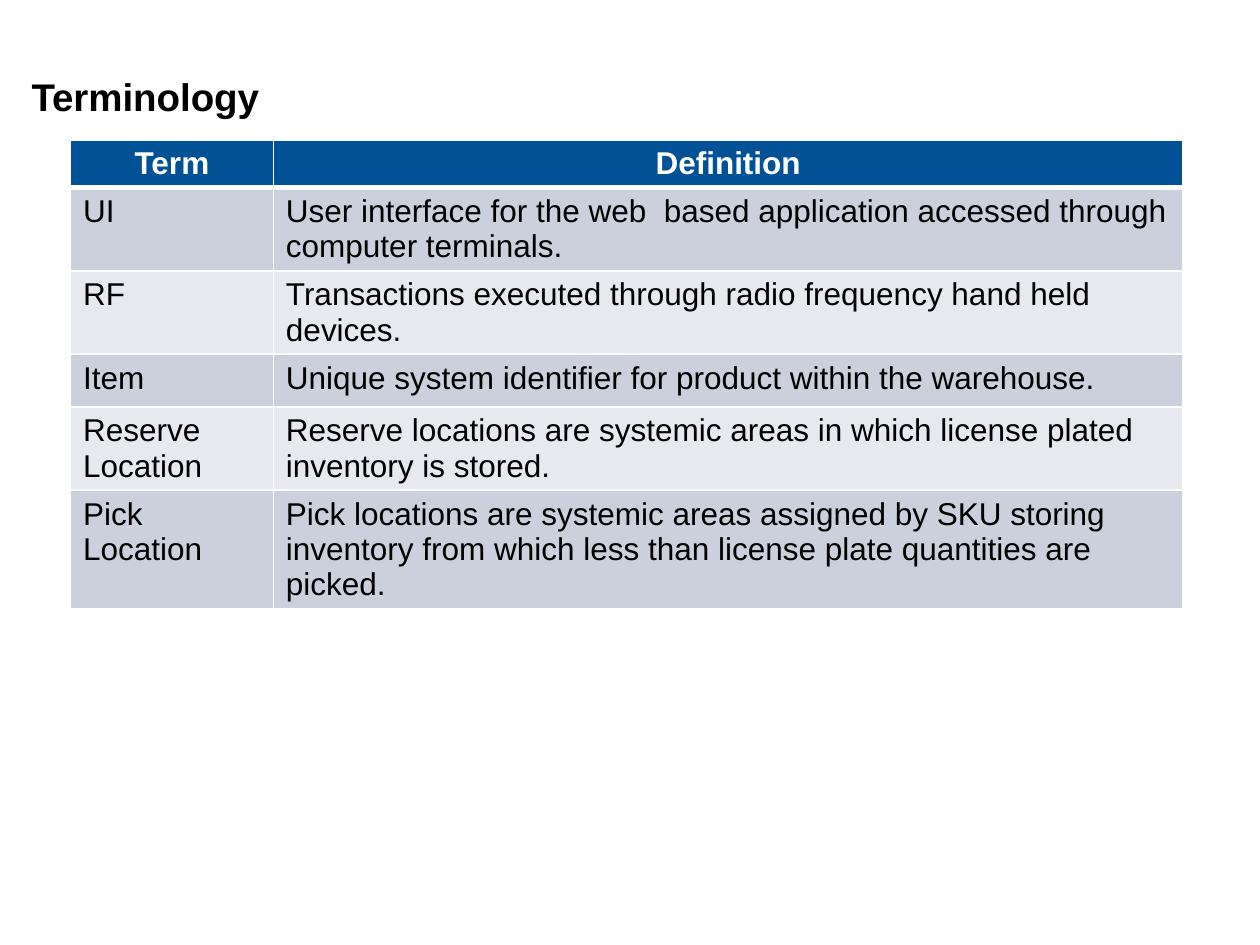
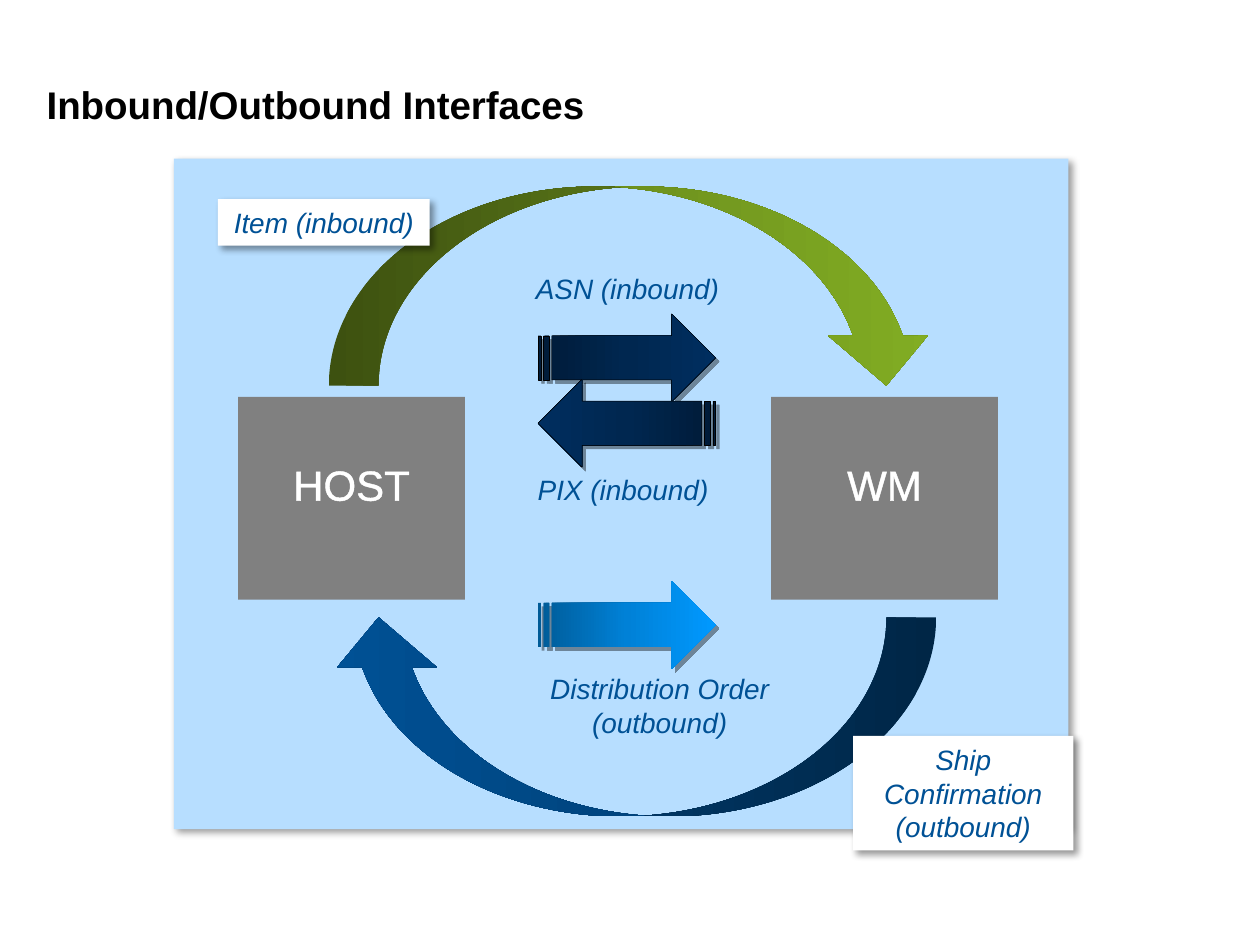
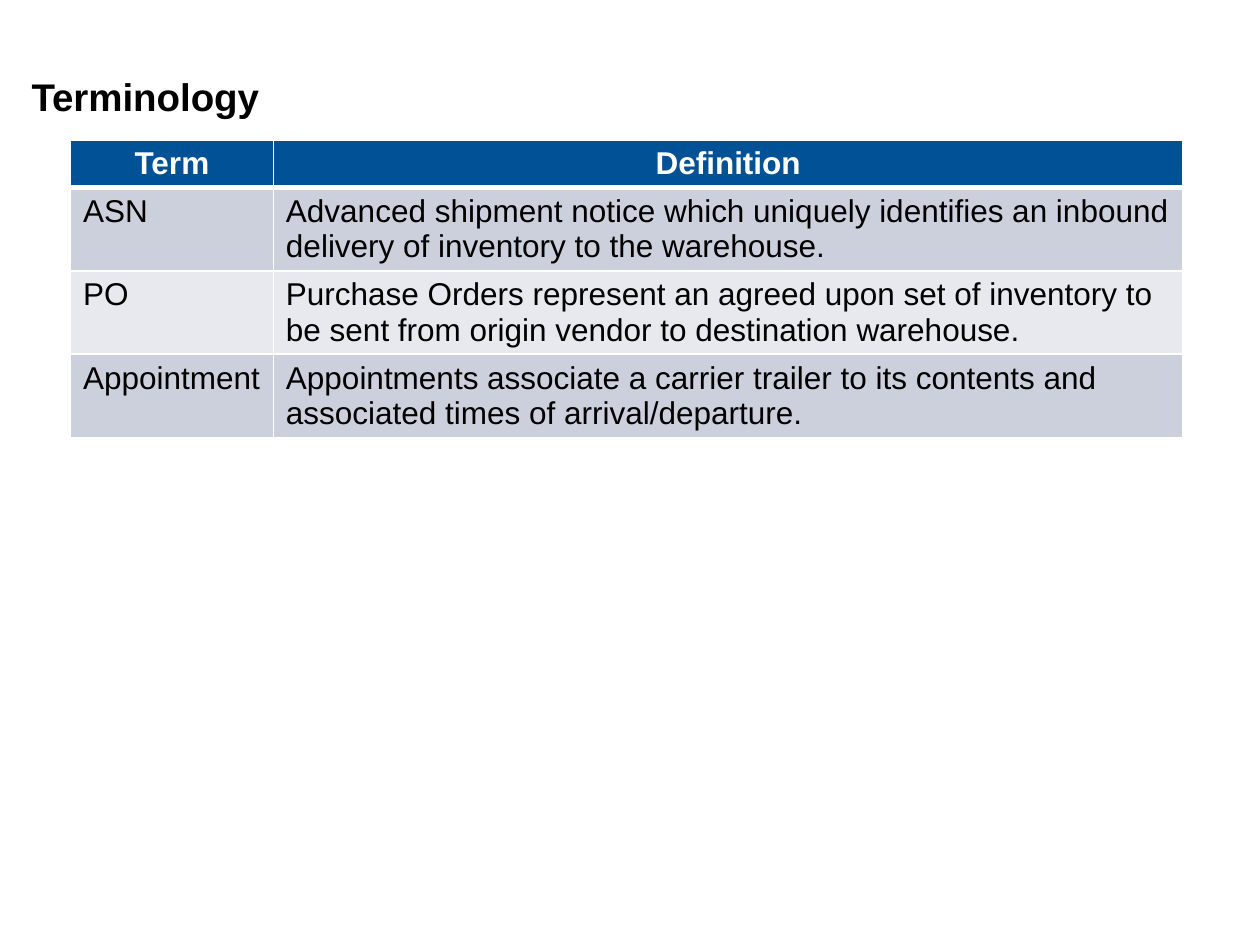
from typing import NamedTuple

from pptx import Presentation
from pptx.dml.color import RGBColor
from pptx.enum.shapes import MSO_SHAPE
from pptx.enum.text import MSO_ANCHOR, MSO_AUTO_SIZE, PP_ALIGN
from pptx.oxml import parse_xml
from pptx.oxml.ns import nsdecls, qn
from pptx.util import Inches, Pt

RECT = MSO_SHAPE.RECTANGLE
CURVE = MSO_SHAPE.CURVED_DOWN_ARROW
STRIPE = MSO_SHAPE.STRIPED_RIGHT_ARROW
TOP, MIDDLE = MSO_ANCHOR.TOP, MSO_ANCHOR.MIDDLE
LEFT, CENTER = PP_ALIGN.LEFT, PP_ALIGN.CENTER
FIXED = MSO_AUTO_SIZE.NONE

# Shared look
FONT = "Arial"
BLACK = RGBColor(0x00, 0x00, 0x00)
WHITE = RGBColor(0xFF, 0xFF, 0xFF)
BLUE = RGBColor(0x00, 0x51, 0x95)
SKY = RGBColor(0xB7, 0xDE, 0xFF)
GRAY = RGBColor(0x80, 0x80, 0x80)
BANDS = (RGBColor(0xCC, 0xD0, 0xDD), RGBColor(0xE7, 0xE9, 0xEF))
GREENS = (RGBColor(0x4D, 0x66, 0x15), RGBColor(0x6E, 0x92, 0x1E), RGBColor(0x82, 0xAD, 0x23))
BLUES = (RGBColor(0x00, 0x30, 0x58), RGBColor(0x00, 0x44, 0x7E), BLUE)
NAVIES = (RGBColor(0x00, 0x1B, 0x38), RGBColor(0x00, 0x27, 0x50), RGBColor(0x00, 0x2E, 0x5F))
AZURES = (RGBColor(0x00, 0x5B, 0x97), RGBColor(0x00, 0x81, 0xD7), RGBColor(0x00, 0x99, 0xFF))


class Box(NamedTuple):
    left: float
    top: float
    width: float
    height: float

    def place(self) -> list:
        return [Inches(size) for size in self]


class Arrow(NamedTuple):
    kind: int
    box: Box
    shades: tuple
    flips: tuple = ()
    edge: bool = False
    shadow: bool = False


class Label(NamedTuple):
    text: str
    box: Box
    card: bool = False


class Term(NamedTuple):
    name: str
    meaning: str


HEAD = Term("Term", "Definition")
BASICS = [
    Term("UI", "User interface for the web  based application accessed through computer terminals."),
    Term("RF", "Transactions executed through radio frequency hand held devices."),
    Term("Item", "Unique system identifier for product within the warehouse."),
    Term("Reserve Location",
         "Reserve locations are systemic areas in which license plated inventory is stored."),
    Term("Pick Location",
         "Pick locations are systemic areas assigned by SKU storing inventory from which "
         "less than license plate quantities are picked."),
]
INBOUND = [
    Term("ASN", "Advanced shipment notice which uniquely identifies an inbound delivery "
                "of inventory to the warehouse."),
    Term("PO", "Purchase Orders represent an agreed upon set of inventory to be sent from "
               "origin vendor to destination warehouse."),
    Term("Appointment", "Appointments associate a carrier trailer to its contents and "
                        "associated times of arrival/departure."),
]

PANEL = Box(1.38, 1.26, 7.1, 5.32)
NODES = [
    Label("HOST", Box(1.89, 3.15, 1.8, 1.61)),
    Label("WM", Box(6.12, 3.15, 1.8, 1.61)),
]
ARROWS = [
    Arrow(CURVE, Box(2.61, 1.48, 4.82, 1.58), GREENS),
    Arrow(CURVE, Box(2.61, 4.9, 4.82, 1.58), BLUES, flips=("flipH", "flipV")),
    Arrow(STRIPE, Box(4.27, 2.49, 1.41, 0.7), NAVIES, edge=True, shadow=True),
    Arrow(STRIPE, Box(4.27, 3.01, 1.41, 0.7), NAVIES, ("flipH",), edge=True, shadow=True),
    Arrow(STRIPE, Box(4.27, 4.61, 1.41, 0.7), AZURES, shadow=True),
]
LABELS = [
    Label("ASN (inbound)", Box(4.14, 2.1, 1.68, 0.37)),
    Label("PIX (inbound)", Box(4.14, 3.7, 1.61, 0.37)),
    Label("Distribution Order (outbound)", Box(4.14, 5.28, 2.19, 0.64)),
    Label("Item (inbound)", Box(1.73, 1.58, 1.68, 0.37), card=True),
    Label("Ship Confirmation (outbound)", Box(6.77, 5.84, 1.75, 0.91), card=True),
]


# Text and effects
def write(frame, text: str, size: float, color: RGBColor, align=CENTER,
          bold: bool = False, italic: bool = False):
    frame.text = text
    line = frame.paragraphs[0]
    line.alignment = align
    line.space_before = Pt(0)
    run = line.runs[0]
    font = run.font
    font.name, font.size = FONT, Pt(size)
    font.bold, font.italic = bold, italic
    font.color.rgb = color
    return run


def cast(shape, blur: float) -> None:
    shade = parse_xml(
        f'<a:outerShdw {nsdecls("a")} blurRad="{Pt(blur)}" dist="{Pt(3)}" dir="2700000" '
        f'algn="tl" rotWithShape="0"><a:srgbClr val="{BLACK}"><a:alpha val="40000"/>'
        '</a:srgbClr></a:outerShdw>')
    shape._element.spPr.find(qn("a:effectLst")).append(shade)


def blend(shape, shades: tuple) -> None:
    shape.fill.gradient()
    stops = "".join(
        f'<a:gs pos="{50000 * step}"><a:srgbClr val="{shade}"/></a:gs>'
        for step, shade in enumerate(shades))
    props = shape._element.spPr
    props.replace(props.find(qn("a:gradFill")), parse_xml(
        f'<a:gradFill {nsdecls("a")} rotWithShape="1"><a:gsLst>{stops}</a:gsLst>'
        '<a:lin ang="0" scaled="0"/></a:gradFill>'))


# Slide parts
def start(deck, title: str, left: float, top: float):
    slide = deck.slides.add_slide(deck.slide_layouts[5])
    head = slide.shapes.title
    head.left, head.top, head.width, head.height = Box(left, top, 9.32, 0.33).place()
    frame = head.text_frame
    frame.auto_size = FIXED
    frame.word_wrap = True
    frame.vertical_anchor = TOP
    frame.margin_top, frame.margin_bottom = Inches(0.08), 0
    write(frame, title, 22, BLACK, LEFT, bold=True)
    return slide


def add_block(slide, kind: int, box: Box):
    shape = slide.shapes.add_shape(kind, *box.place())
    shape.shadow.inherit = False
    shape.line.fill.background()
    return shape


def add_rect(slide, box: Box, color: RGBColor):
    shape = add_block(slide, RECT, box)
    shape.fill.solid()
    shape.fill.fore_color.rgb = color
    return shape


def add_node(slide, node: Label) -> None:
    frame = add_rect(slide, node.box, GRAY).text_frame
    frame.word_wrap = True
    frame.vertical_anchor = TOP
    frame.margin_top = Inches(0.49)
    run = write(frame, node.text, 24, WHITE)
    run.font._element.insert(0, parse_xml(
        f'<a:ln {nsdecls("a")} w="{Pt(1.45)}"><a:solidFill><a:srgbClr val="{WHITE}"/>'
        '</a:solidFill></a:ln>'))


def add_arrow(slide, arrow: Arrow) -> None:
    shape = add_block(slide, arrow.kind, arrow.box)
    blend(shape, arrow.shades)
    for flip in arrow.flips:
        shape._element.spPr.find(qn("a:xfrm")).set(flip, "1")
    if arrow.edge:
        shape.line.color.rgb = BLACK
        shape.line.width = Pt(0.25)
    if arrow.shadow:
        cast(shape, 0)


def add_label(slide, label: Label) -> None:
    if label.card:
        shape = add_rect(slide, label.box, WHITE)
        cast(shape, 4)
    else:
        shape = slide.shapes.add_textbox(*label.box.place())
    frame = shape.text_frame
    frame.word_wrap = True
    frame.vertical_anchor = MIDDLE
    write(frame, label.text, 16, BLUE, italic=True)


def rule(cell, top: float, bottom: float) -> None:
    props = cell._tc.get_or_add_tcPr()
    for side, width in (("L", 1), ("R", 1), ("T", top), ("B", bottom)):
        props.append(parse_xml(
            f'<a:ln{side} {nsdecls("a")} w="{Pt(width)}"><a:solidFill>'
            f'<a:srgbClr val="{WHITE}"/></a:solidFill></a:ln{side}>'))


def add_terms(slide, terms: list[Term]) -> None:
    rows = [HEAD] + terms
    box = Box(0.56, 1.11, 8.83, 0.29 + 0.42 * len(terms))
    table = slide.shapes.add_table(len(rows), 2, *box.place()).table
    table.columns[0].width, table.columns[1].width = Inches(1.61), Inches(7.22)
    for index, term in enumerate(rows):
        is_head = index == 0
        table.rows[index].height = Inches(0.29 if is_head else 0.42)
        for cell, text in zip(table.rows[index].cells, term):
            rule(cell, 3 if index == 1 else 1, 3 if is_head else 1)
            cell.fill.solid()
            cell.fill.fore_color.rgb = BLUE if is_head else BANDS[(index - 1) % 2]
            write(cell.text_frame, text, 18, WHITE if is_head else BLACK,
                  CENTER if is_head else LEFT, bold=is_head)


# Slides
def add_flow(deck) -> None:
    slide = start(deck, "Inbound/Outbound Interfaces", 0.27, 0.56)
    cast(add_rect(slide, PANEL, SKY), 4)
    for node in NODES:
        add_node(slide, node)
    for arrow in ARROWS:
        add_arrow(slide, arrow)
    for label in LABELS:
        add_label(slide, label)


def main() -> None:
    deck = Presentation()
    deck.slide_width, deck.slide_height = Inches(10), Inches(7.5)
    add_terms(start(deck, "Terminology", 0.15, 0.5), BASICS)
    add_flow(deck)
    add_terms(start(deck, "Terminology", 0.15, 0.5), INBOUND)
    deck.save("out.pptx")


if __name__ == "__main__":
    main()
